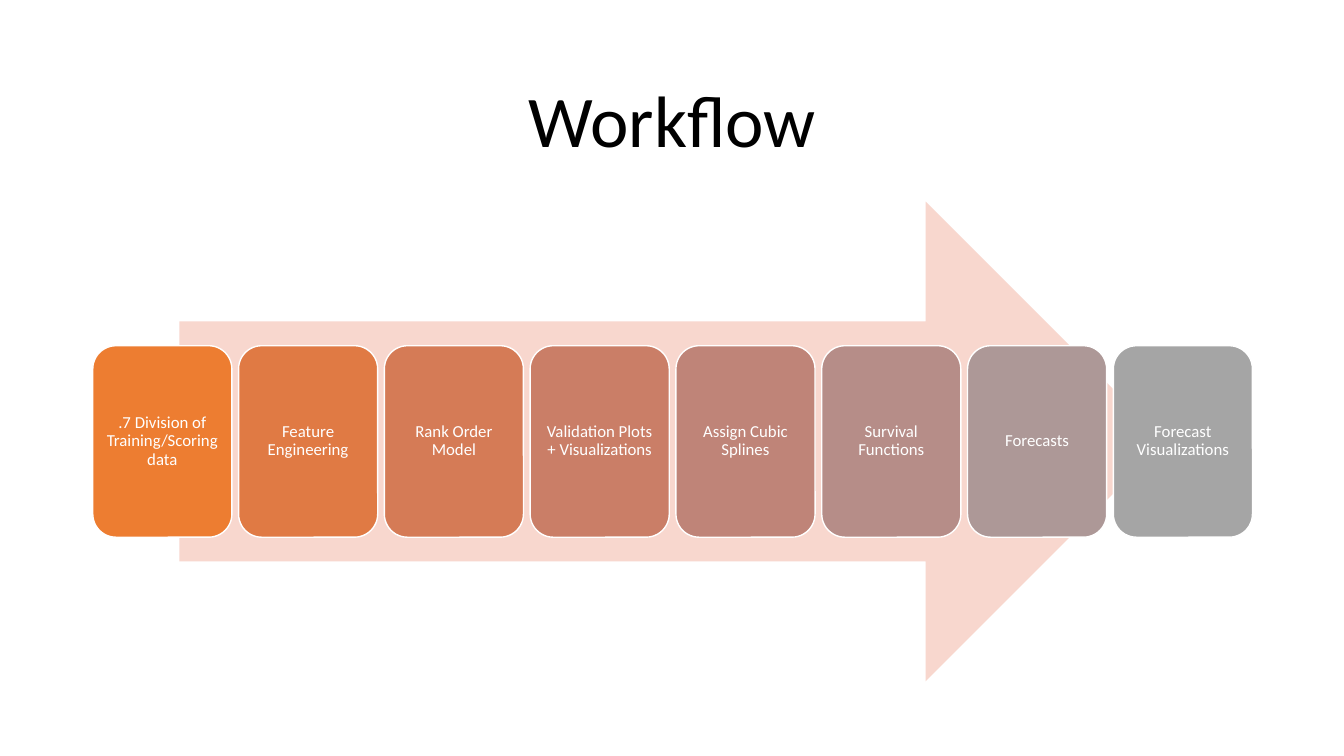
"""Build the Workflow slide: eight process steps over a wide arrow."""
from dataclasses import dataclass

from pptx import Presentation
from pptx import util as u
from pptx.dml.color import RGBColor
from pptx.enum import shapes, text

FONT = "Calibri"
BLACK = RGBColor(0x00, 0x00, 0x00)
WHITE = RGBColor(0xFF, 0xFF, 0xFF)
ARROW_PINK = RGBColor(0xF8, 0xD7, 0xCE)

STEP_LEFT, STEP_TOP = 0.92, 3.43
STEP_WIDTH, STEP_HEIGHT = 1.38, 1.9
STEP_PITCH = 1.446


@dataclass(frozen=True)
class Step:
    label: str
    fill: RGBColor


STEPS = (
    Step(".7 Division of Training/Scoring data", RGBColor(0xED, 0x7D, 0x31)),
    Step("Feature Engineering", RGBColor(0xE0, 0x7A, 0x44)),
    Step("Rank Order Model", RGBColor(0xD5, 0x7B, 0x56)),
    Step("Validation Plots + Visualizations", RGBColor(0xCA, 0x7E, 0x67)),
    Step("Assign Cubic Splines", RGBColor(0xBF, 0x84, 0x78)),
    Step("Survival Functions", RGBColor(0xB6, 0x8D, 0x88)),
    Step("Forecasts", RGBColor(0xAD, 0x98, 0x97)),
    Step("Forecast Visualizations", RGBColor(0xA5, 0xA5, 0xA5)),
)


def write(box, words: str, *, size: float, color: RGBColor, inset: float) -> None:
    frame = box.text_frame
    frame.word_wrap = True
    frame.auto_size = text.MSO_AUTO_SIZE.NONE
    frame.vertical_anchor = text.MSO_ANCHOR.MIDDLE
    frame.margin_left = frame.margin_right = u.Inches(inset)
    frame.margin_top = frame.margin_bottom = u.Inches(0.05)
    para = frame.paragraphs[0]
    para.alignment = text.PP_ALIGN.CENTER
    para.line_spacing = 0.9
    span = para.add_run()
    span.text = words
    span.font.name = FONT
    span.font.size = u.Pt(size)
    span.font.color.rgb = color


def add_title(page, words: str) -> None:
    title = page.shapes.title
    title.left, title.top = u.Inches(0.92), u.Inches(0.61)
    title.width, title.height = u.Inches(11.5), u.Inches(1.24)
    write(title, words, size=52, color=BLACK, inset=0.1)


def add_filled(page, kind: shapes.MSO_SHAPE, left: float, top: float,
               width: float, height: float, fill: RGBColor):
    box = page.shapes.add_shape(kind, u.Inches(left), u.Inches(top),
                                u.Inches(width), u.Inches(height))
    box.shadow.inherit = False
    box.fill.solid()
    box.fill.fore_color.rgb = fill
    box.line.fill.background()
    return box


def add_step(page, index: int, step: Step) -> None:
    box = add_filled(page, shapes.MSO_SHAPE.ROUNDED_RECTANGLE,
                     STEP_LEFT + index * STEP_PITCH, STEP_TOP,
                     STEP_WIDTH, STEP_HEIGHT, step.fill)
    box.line.color.rgb = WHITE
    box.line.width = u.Pt(1)
    write(box, step.label, size=12, color=WHITE, inset=0.05)


def main() -> None:
    deck = Presentation()
    deck.slide_width, deck.slide_height = u.Inches(13.33), u.Inches(7.5)
    page = deck.slides.add_slide(deck.slide_layouts.get_by_name("Title Only"))
    add_title(page, "Workflow")
    add_filled(page, shapes.MSO_SHAPE.RIGHT_ARROW, 1.78, 2, 9.78, 4.76, ARROW_PINK)
    for index, step in enumerate(STEPS):
        add_step(page, index, step)
    deck.save("out.pptx")


if __name__ == "__main__":
    main()
